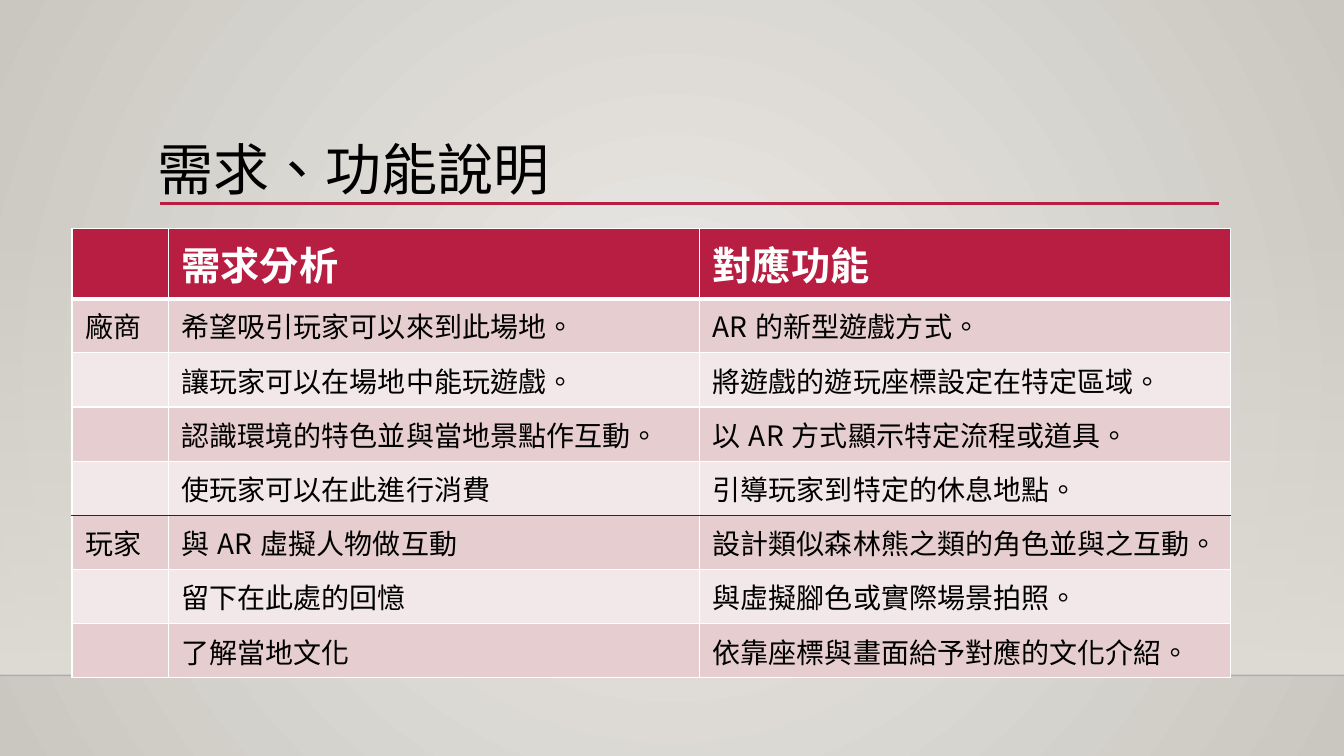
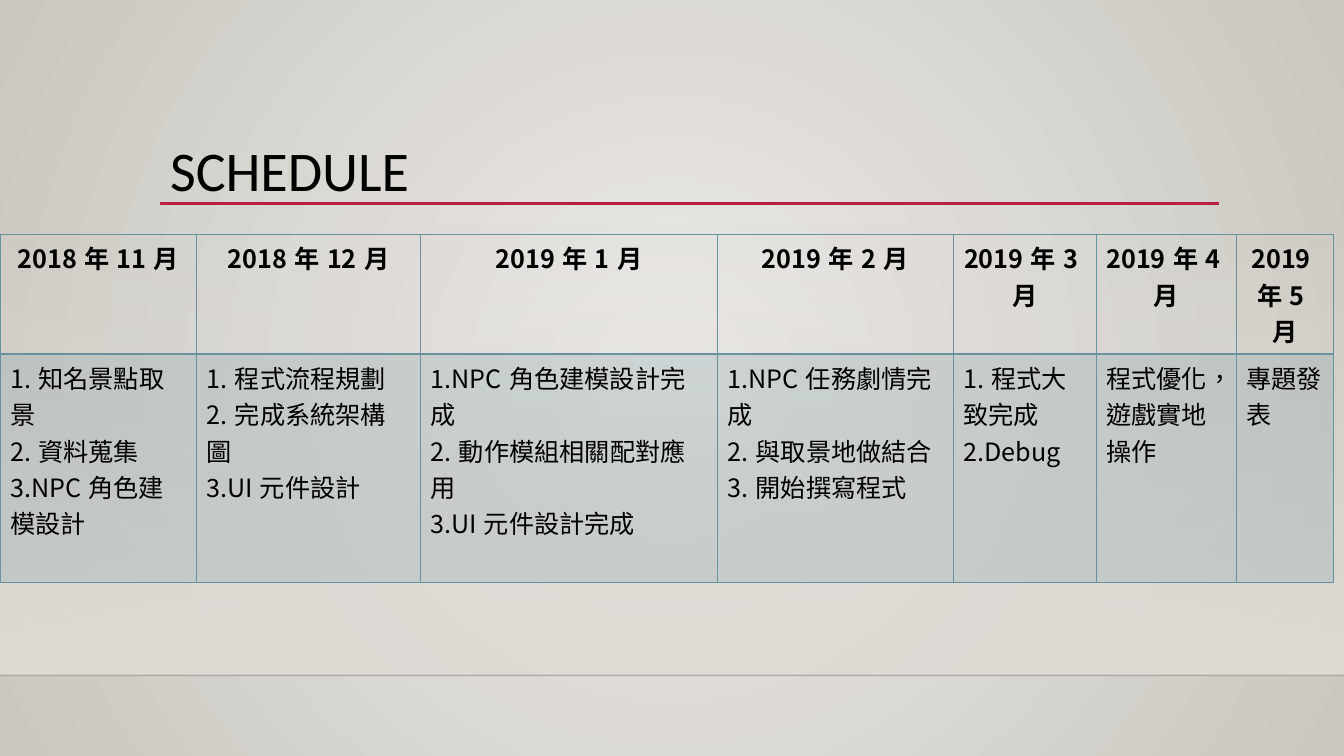
from lxml.etree import SubElement
from pptx import Presentation
from pptx.dml.color import RGBColor
from pptx.enum.shapes import MSO_CONNECTOR as Connector, MSO_SHAPE as Shape
from pptx.enum.text import MSO_ANCHOR as Anchor, PP_ALIGN as Align
from pptx.oxml.ns import qn
from pptx.util import Pt

# Colours
CRIMSON = RGBColor(0xB7, 0x1E, 0x42)
MAROON = RGBColor(0x5C, 0x0F, 0x21)
ROSE = RGBColor(0xE6, 0xCD, 0xCF)
PALE_ROSE = RGBColor(0xF3, 0xE8, 0xE9)
TEAL = RGBColor(0x68, 0x92, 0xA0)
STONE_LIGHT = RGBColor(0xEC, 0xEA, 0xE7)
STONE_DARK = RGBColor(0xCA, 0xC7, 0xC1)
SAND = RGBColor(0xDF, 0xDB, 0xD5)
INK = RGBColor(0x00, 0x00, 0x01)
BLACK = RGBColor(0, 0, 0)
WHITE = RGBColor(0xFF, 0xFF, 0xFF)

# Shared measures, in points
WIDTH, HEIGHT = 960, 540
BAND_TOP, FLOOR = 159, 482.4
RULE_LEFT, RULE_RIGHT, RULE_Y = 114.4, 871, 145.4
CJK_FONT = "Noto Sans CJK SC"

# Texts
NEEDS = [
    ("", "需求分析", "對應功能"),
    ("廠商", "希望吸引玩家可以來到此場地。", "AR的新型遊戲方式。"),
    ("", "讓玩家可以在場地中能玩遊戲。", "將遊戲的遊玩座標設定在特定區域。"),
    ("", "認識環境的特色並與當地景點作互動。", "以AR方式顯示特定流程或道具。"),
    ("", "使玩家可以在此進行消費", "引導玩家到特定的休息地點。"),
    ("玩家", "與AR虛擬人物做互動", "設計類似森林熊之類的角色並與之互動。"),
    ("", "留下在此處的回憶", "與虛擬腳色或實際場景拍照。"),
    ("", "了解當地文化", "依靠座標與畫面給予對應的文化介紹。"),
]
PLAYER_ROW = 5
SCHEDULE = [
    ("2018年11月", 140.4, "1.知名景點取景\n2.資料蒐集\n3.NPC角色建模設計"),
    ("2018年12月", 160, "1.程式流程規劃\n2.完成系統架構圖\n3.UI元件設計"),
    ("2019年1月", 212, "1.NPC角色建模設計完成\n2.動作模組相關配對應用\n3.UI元件設計完成"),
    ("2019年2月", 168.5, "1.NPC任務劇情完成\n2.與取景地做結合\n3.開始撰寫程式"),
    ("2019年3月", 102.2, "1.程式大致完成\n2.Debug"),
    ("2019年4月", 100, "程式優化，遊戲實地操作"),
    ("2019年5月", 69.4, "專題發表"),
]


# XML helpers
def add_alpha(color_node, percent):
    SubElement(color_node, qn("a:alpha"), val=str(percent * 1000))


def add_color(parent, color, percent=100):
    node = SubElement(parent, qn("a:srgbClr"), val=str(color))
    if percent < 100:
        add_alpha(node, percent)


def set_gradient(owner, fill, stops):
    """Replace the gradient in owner by the stops; return it for its direction."""
    fill.gradient()
    gradient = next(owner.iter(qn("a:gradFill")))
    gradient.clear()
    stop_list = SubElement(gradient, qn("a:gsLst"))
    for position, color, percent in stops:
        stop = SubElement(stop_list, qn("a:gs"), pos=str(position * 1000))
        add_color(stop, color, percent)
    return gradient


def set_borders(cell, **sides):
    """Each of L, R, T, B is given as (colour, width)."""
    properties = cell._tc.get_or_add_tcPr()
    for index, side in enumerate("LRTB"):
        color, width = sides[side]
        line = SubElement(properties, qn(f"a:ln{side}"), w=str(Pt(width)))
        add_color(SubElement(line, qn("a:solidFill")), color)
        properties.insert(index, line)


# Text
def write(frame, text, font_name, align=Align.LEFT, line_spacing=None, **font_format):
    frame.word_wrap = True
    for index, line in enumerate(text.split("\n")):
        para = frame.add_paragraph() if index else frame.paragraphs[0]
        para.alignment = align
        if line_spacing:
            para.line_spacing = line_spacing
        span = para.add_run()
        span.text = line
        color = font_format.get("color", BLACK)
        span.font.color.rgb = color
        span.font.name = font_name
        for name, value in font_format.items():
            if name != "color":
                setattr(span.font, name, value)
        properties = span.font._element
        properties.set("lang", "zh-TW")
        SubElement(properties, qn("a:ea"), typeface=font_name)


# Shared parts of the slides
def add_line(page, left, right, y, color, width, percent=100):
    line = page.shapes.add_connector(Connector.STRAIGHT, Pt(left), Pt(y), Pt(right), Pt(y))
    line.line.color.rgb = color
    line.line.width = Pt(width)
    properties = line._element.spPr
    if percent < 100:
        add_alpha(next(properties.iter(qn("a:srgbClr"))), percent)
    SubElement(properties, qn("a:effectLst"))


def set_backdrop(master):
    gradient = set_gradient(master._element, master.background.fill,
                            [(0, STONE_LIGHT, 100), (100, STONE_DARK, 100)])
    circle = SubElement(gradient, qn("a:path"), path="circle")
    SubElement(circle, qn("a:fillToRect"), l="50000", t="50000", r="50000", b="50000")


def add_page(deck, title, left, top, font_name):
    page = deck.slides.add_slide(deck.slide_layouts[6])
    # Band that fades in down to the floor line
    band = page.shapes.add_shape(Shape.RECTANGLE, 0, Pt(BAND_TOP), Pt(WIDTH), Pt(FLOOR - BAND_TOP))
    band.shadow.inherit = False
    band.line.fill.background()
    gradient = set_gradient(band._element.spPr, band.fill, [(0, SAND, 0), (100, SAND, 100)])
    SubElement(gradient, qn("a:lin"), ang="5400000", scaled="0")
    add_line(page, 0, WIDTH, FLOOR, INK, 1, 20)
    # Title and its rule
    add_line(page, RULE_LEFT, RULE_RIGHT, RULE_Y, CRIMSON, 2.5)
    box = page.shapes.add_textbox(Pt(left), Pt(top), Pt(756), Pt(83))
    box.text_frame.vertical_anchor = Anchor.TOP
    write(box.text_frame, title, font_name, line_spacing=0.9, size=Pt(40))
    return page


def add_grid(page, left, top, widths, heights):
    frame = page.shapes.add_table(len(heights), len(widths), Pt(left), Pt(top),
                                  Pt(sum(widths)), Pt(sum(heights)))
    table = frame.table
    table.first_row = table.horz_banding = False
    for column, width in zip(table.columns, widths):
        column.width = Pt(width)
    for row, height in zip(table.rows, heights):
        row.height = Pt(height)
    return table


# Tables
def add_needs_table(page, left, top):
    table = add_grid(page, left, top, [69, 379.4, 379], [50] + [38.7] * (len(NEEDS) - 1))
    margins = dict(margin_left=9.4, margin_right=9.4, margin_top=4.8, margin_bottom=4.8)
    thin, thick, divider = (WHITE, 1), (WHITE, 3), (MAROON, 1)
    above = {0: thin, 1: thick, PLAYER_ROW: divider}
    for row, texts in enumerate(NEEDS):
        header = row == 0
        fill = CRIMSON if header else (ROSE if row % 2 else PALE_ROSE)
        style = dict(size=Pt(28 if header else 20), bold=header,
                     color=WHITE if header else BLACK)
        for column, text in enumerate(texts):
            cell = table.cell(row, column)
            for name, value in margins.items():
                setattr(cell, name, Pt(value))
            if text:
                write(cell.text_frame, text, CJK_FONT, **style)
            cell.fill.solid()
            cell.fill.fore_color.rgb = fill
            set_borders(cell, L=thin, R=thin, T=above.get(row, thin),
                        B=above.get(row + 1, thin))


def add_schedule_table(page, left, top):
    table = add_grid(page, left, top, [width for _, width, _ in SCHEDULE], [85.3, 163.6])
    thin, thick = (TEAL, 1), (TEAL, 2)
    for column, (month, _, tasks) in enumerate(SCHEDULE):
        head, body = table.cell(0, column), table.cell(1, column)
        write(head.text_frame, month, CJK_FONT, Align.CENTER, size=Pt(18), bold=True)
        head.fill.background()
        set_borders(head, L=thin, R=thin, T=thin, B=thick)
        write(body.text_frame, tasks, CJK_FONT, size=Pt(18), bold=False)
        body.fill.solid()
        body.fill.fore_color.rgb = TEAL
        add_alpha(body._tc.tcPr.find(qn("a:solidFill"))[0], 20)
        set_borders(body, L=thin, R=thin, T=thick, B=thin)


def main():
    deck = Presentation()
    deck.slide_width, deck.slide_height = Pt(WIDTH), Pt(HEIGHT)
    set_backdrop(deck.slide_master)
    add_needs_table(add_page(deck, "需求、功能說明", 105.4, 98, "Arial"), 51.4, 163.4)
    add_schedule_table(add_page(deck, "SCHEDULE", 114.4, 98.6, "Calibri"), 0, 167.4)
    deck.save("out.pptx")


if __name__ == "__main__":
    main()
